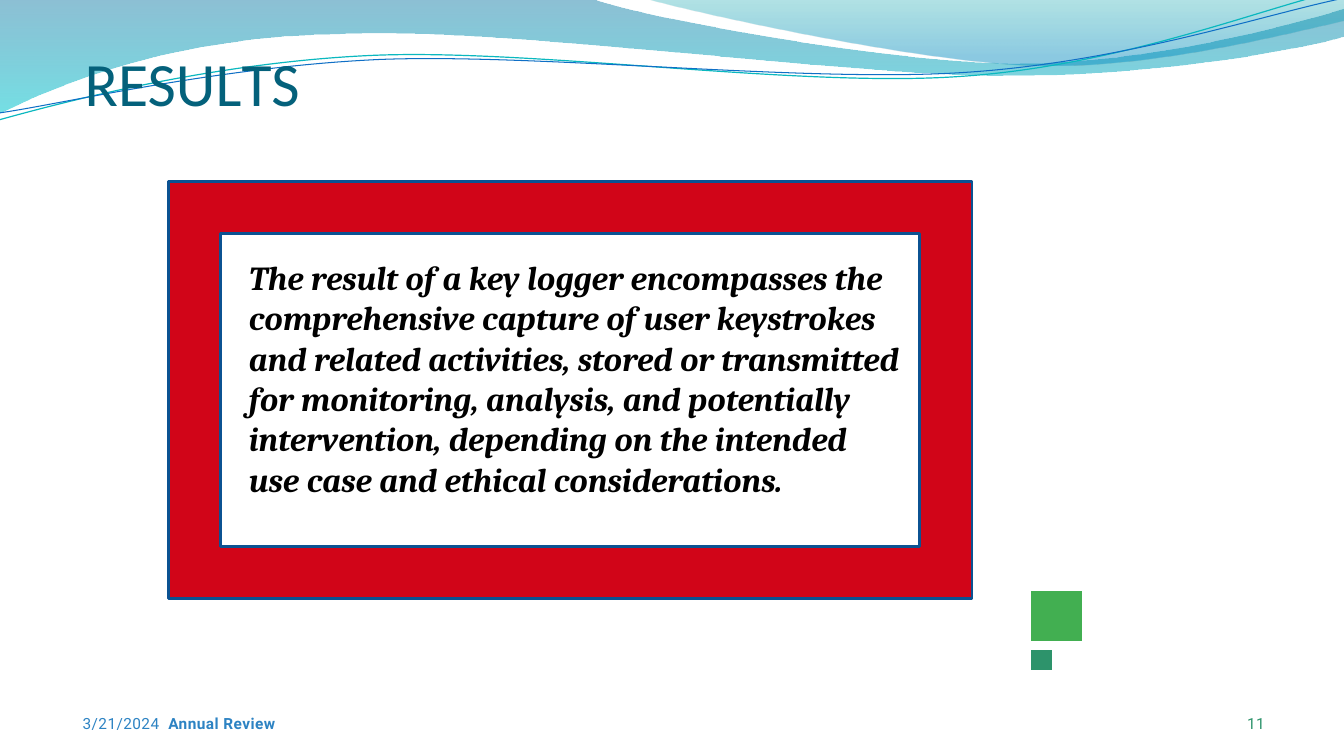
from math import cos, radians, sin
from lxml.etree import SubElement
from pptx import Presentation
from pptx.dml.color import RGBColor
from pptx.enum.shapes import MSO_SHAPE as SHAPE
from pptx.enum.text import MSO_ANCHOR as ANCHOR
from pptx.oxml.ns import qn
from pptx.util import Emu, Pt

PX = 9144
TILT = 2.7
BLUE_DEEP = RGBColor(0x00, 0x74, 0xA1)
CYAN = RGBColor(0x00, 0xC6, 0xCF)
TEAL = RGBColor(0x00, 0xA1, 0xA9)
BLUE_SKY = RGBColor(0x00, 0x8B, 0xBF)
LINE_CYAN = RGBColor(0x0A, 0xB8, 0xBF)
LINE_BLUE = RGBColor(0x0F, 0x6F, 0xC6)
GREEN = RGBColor(0x42, 0xAF, 0x51)
SEA = RGBColor(0x2D, 0x93, 0x6B)
DATE_BLUE = RGBColor(0x2D, 0x83, 0xC3)
TITLE = RGBColor(0x04, 0x61, 0x7B)
BLACK = RGBColor(0, 0, 0)
RED = RGBColor(0xD1, 0x05, 0x18)
NAVY = RGBColor(0x0B, 0x52, 0x92)

prs = Presentation()
prs.slide_width, prs.slide_height = Emu(1333 * PX), Emu(750 * PX)
s = prs.slides.add_slide(prs.slide_layouts[6])


def add_curve(start, segments, close):
    points = [start]
    for seg in segments:
        points += zip(seg[::2], seg[1::2])
    points = [(x * PX, y * PX) for x, y in points]
    builder = s.shapes.build_freeform(*points[0])
    builder.add_line_segments(points[1:], close=close)
    sp = builder.convert_to_shape()
    sp.shadow.inherit = False
    lines = iter(list(sp._element.spPr.iter(qn("a:lnTo"))))
    for seg in segments:
        first = next(lines)
        if len(seg) == 6:
            first.tag = qn("a:cubicBezTo")
            for _ in range(2):
                line = next(lines)
                first.append(line[0])
                line.getparent().remove(line)
    return sp


def add_text(box, runs, size, font, color, inset=(0, 0)):
    sp = s.shapes.add_textbox(*(Emu(v * PX) for v in box))
    tf = sp.text_frame
    tf.word_wrap = True
    tf.margin_left = tf.margin_right = Emu(inset[0] * PX)
    tf.margin_top = tf.margin_bottom = Emu(inset[1] * PX)
    p = tf.paragraphs[0]
    for text, spacing, bold in runs:
        r = p.add_run()
        r.text = text
        r.font.size, r.font.name, r.font.bold = Pt(size), font, bold
        r.font.color.rgb = color
        r._r.get_or_add_rPr().set("spc", str(spacing))
    return tf


waves = [
    ((0, 0), [(587, -1), (634, 17, 885, 63, 1011, 63), (1138, 63, 1278, 26, 1333, 9),
              (1335, 36), (1311, 44, 1160, 76, 994, 75), (829, 75, 509, 28, 343, 34),
              (172, 36, 61, 83, -1, 113)],
     [(0, BLUE_DEEP, 45), (1, CYAN, 55)]),
    ((639, -1), [(679, 11, 909, 62, 1025, 65), (1141, 69, 1282, 32, 1333, 21), (1333, 0)],
     [(0, TEAL, 30), (0.8, BLUE_SKY, 45)]),
]
for start, segments, stops in waves:
    sp = add_curve(start, segments, True)
    sp.line.fill.background()
    sp.fill.gradient()
    sp.fill.gradient_angle = 270
    for stop, (position, color, _) in zip(sp.fill.gradient_stops, stops):
        stop.position = position
        stop.color.rgb = color
    for clr, (_, _, opacity) in zip(sp._element.spPr.iter(qn("a:srgbClr")), stops):
        SubElement(clr, qn("a:alpha")).set("val", str(opacity * 1000))

strands = [
    ((-1, 119), [(64, 101, 211, 62, 369, 55), (527, 48, 790, 87, 950, 76),
                 (1110, 66, 1252, 8, 1331, -10)], LINE_CYAN, 0.85),
    ((0, 112), [(63, 103, 218, 66, 378, 59), (537, 53, 796, 82, 955, 72),
                (1115, 62, 1255, 14, 1334, -2)], LINE_BLUE, 0.75),
]
cos_t, sin_t = cos(radians(TILT)), sin(radians(TILT))
for start, segments, color, width in strands:
    cx, cy = (start[0] + segments[-1][4]) / 2, (start[1] + segments[-1][5]) / 2
    level = []
    for seg in [start] + segments:
        level.append([])
        for x, y in zip(seg[::2], seg[1::2]):
            dx, dy = x - cx, y - cy
            level[-1] += [cx + dx * cos_t - dy * sin_t, cy + dx * sin_t + dy * cos_t]
    sp = add_curve(level[0], level[1:], False)
    sp.rotation = 360 - TILT
    sp.fill.background()
    sp.line.color.rgb = color
    sp.line.width = Pt(width)

for top, side, color in [(586, 50, GREEN), (645, 20, SEA)]:
    left = 1023
    corners = [(left + side, top), (left, top), (left, top + side), (left + side, top + side)]
    sp = add_curve(corners[0], corners[1:], True)
    sp.fill.solid()
    sp.fill.fore_color.rgb = color
    sp.line.fill.background()

tf = add_text((84, 42, 267, 76), [("RESU", 0, False), ("L", -400, False), ("TS", 0, False)],
              44, "Calibri", TITLE)
tf.vertical_anchor = ANCHOR.BOTTOM

tf = add_text((82, 709, 194, 18), [("3/21/2024  ", 28, False), ("Annual Review", 30, True)],
              11, "Roboto", DATE_BLUE)
tf.paragraphs[0].line_spacing = Pt(12.8)

add_text((1237, 708, 21, 19), [("11", 10, False)], 11, "Roboto", SEA)

result = ("The result of a key logger encompasses the comprehensive capture of user keystrokes "
          "and related activities, stored or transmitted for monitoring, analysis, and potentially "
          "intervention, depending on the intended use case and ethical considerations.")
tf = add_text((237, 250, 667, 293), [(result, 0, True)], 24, "Cambria", BLACK, (10, 5))
tf.paragraphs[0].runs[0].font.italic = True

frame = s.shapes.add_shape(SHAPE.FRAME, *(Emu(v * PX) for v in (167, 180, 797, 414)))
frame.shadow.inherit = False
frame.fill.solid()
frame.fill.fore_color.rgb = RED
frame.line.color.rgb = NAVY
frame.line.width = Pt(2)

prs.save("out.pptx")
